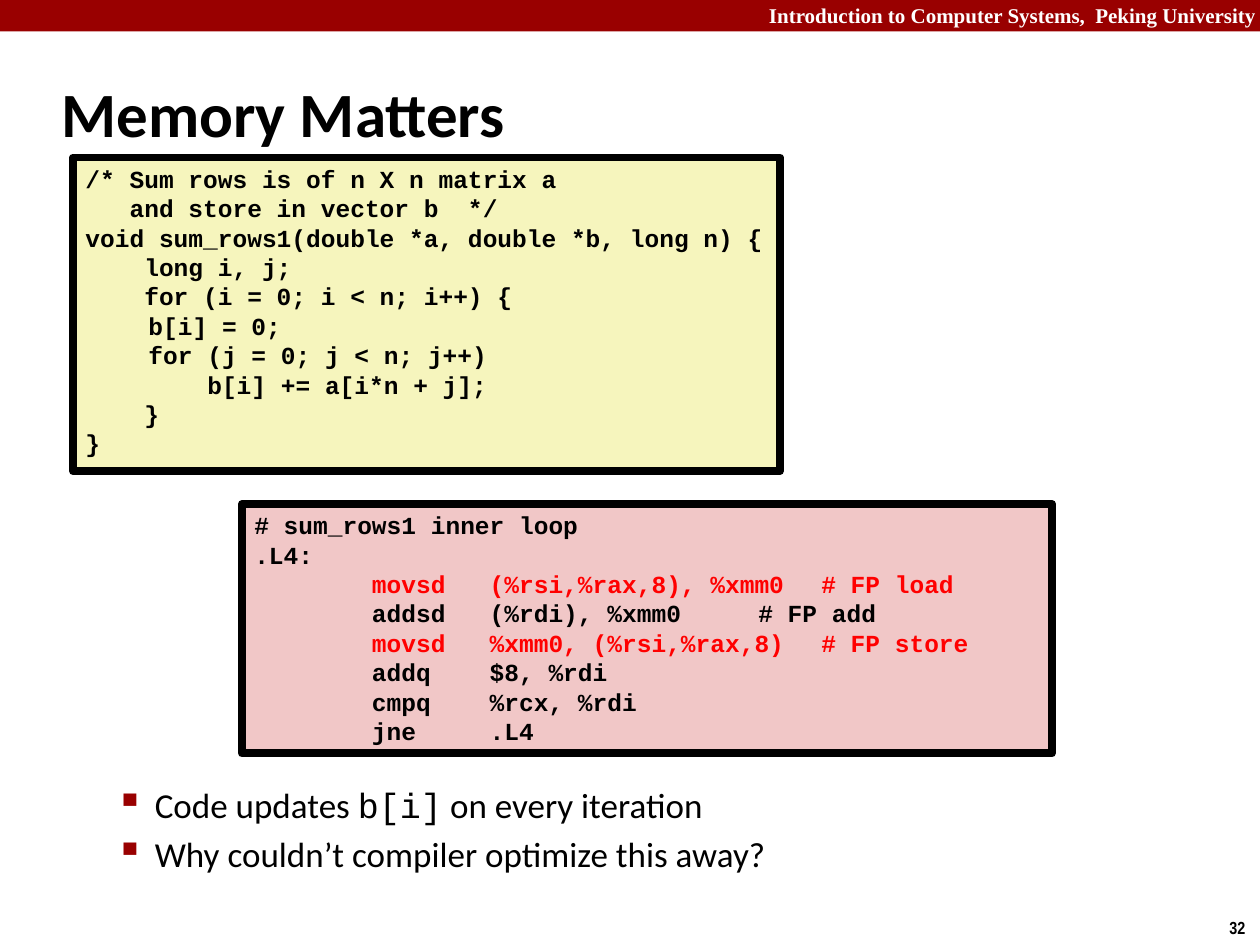
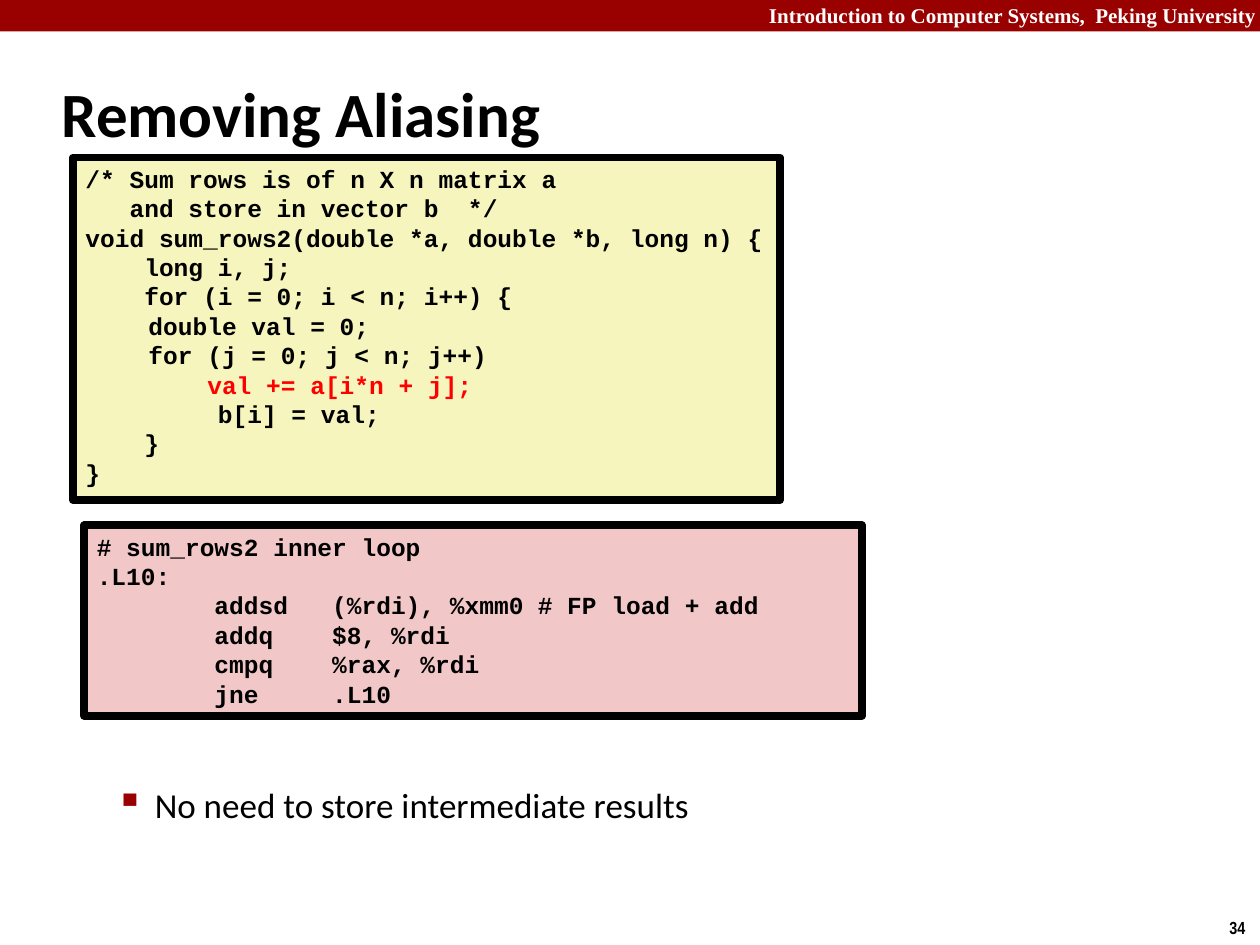
"""Builds two lecture slides on memory aliasing, with C code above its assembly."""
from lxml import etree
from pptx import Presentation
from pptx.dml.color import RGBColor
from pptx.enum.shapes import MSO_SHAPE
from pptx.enum.text import MSO_ANCHOR, PP_ALIGN
from pptx.oxml.ns import qn
from pptx.util import Inches, Pt

RECTANGLE = MSO_SHAPE.RECTANGLE
TOP, MIDDLE = MSO_ANCHOR.TOP, MSO_ANCHOR.MIDDLE
LEFT, RIGHT = PP_ALIGN.LEFT, PP_ALIGN.RIGHT

CRIMSON = RGBColor(0x99, 0x00, 0x00)
WHITE = RGBColor(0xFF, 0xFF, 0xFF)
BLACK = RGBColor(0x00, 0x00, 0x00)
RED = RGBColor(0xFF, 0x00, 0x00)
CREAM = RGBColor(0xF6, 0xF5, 0xBD)
PINK = RGBColor(0xF1, 0xC7, 0xC7)

BODY_FONT, CODE_FONT = "Calibri", "Courier New"

C_SUM_ROWS1 = """/* Sum rows is of n X n matrix a
   and store in vector b  */
void sum_rows1(double *a, double *b, long n) {
    long i, j;
    for (i = 0; i < n; i++) {
\tb[i] = 0;
\tfor (j = 0; j < n; j++)
\t    b[i] += a[i*n + j];
    }
}"""
ASM_SUM_ROWS1 = """# sum_rows1 inner loop
.L4:
        movsd   (%rsi,%rax,8), %xmm0\t# FP load
        addsd   (%rdi), %xmm0\t\t# FP add
        movsd   %xmm0, (%rsi,%rax,8)\t# FP store
        addq    $8, %rdi
        cmpq    %rcx, %rdi
        jne     .L4"""
C_SUM_ROWS2 = """/* Sum rows is of n X n matrix a
   and store in vector b  */
void sum_rows2(double *a, double *b, long n) {
    long i, j;
    for (i = 0; i < n; i++) {
\tdouble val = 0;
\tfor (j = 0; j < n; j++)
\t    val += a[i*n + j];
         b[i] = val;
    }
}"""
ASM_SUM_ROWS2 = """# sum_rows2 inner loop
.L10:
        addsd   (%rdi), %xmm0\t# FP load + add
        addq    $8, %rdi
        cmpq    %rax, %rdi
        jne     .L10"""

LESSONS = [
    {"title": "Memory Matters", "number": "32",
     "listings": [(ASM_SUM_ROWS1, PINK, (19.2, 40, 64.3, 19.8), "movsd"),
                  (C_SUM_ROWS1, CREAM, (5.8, 12.5, 56.1, 24.9), None)],
     "points": ["Code updates `b[i]` on every iteration",
                "Why couldn’t compiler optimize this away?"]},
    {"title": "Removing Aliasing", "number": "34",
     "listings": [(ASM_SUM_ROWS2, PINK, (6.7, 41.7, 61.7, 15.1), None),
                  (C_SUM_ROWS2, CREAM, (5.8, 12.5, 56.1, 27.2), "val +=")],
     "points": ["No need to store intermediate results"]},
]

deck = Presentation()
deck.slide_width, deck.slide_height = Inches(10), Inches(7.5)
COLUMN, ROW = deck.slide_width / 100, deck.slide_height / 75


def on_grid(left, top, width, height):
    """Turns columns and rows into slide lengths."""
    return int(left * COLUMN), int(top * ROW), int(width * COLUMN), int(height * ROW)


def write(paragraph, text, font, size, color, bold=True, align=LEFT):
    """Fills a paragraph; text between backticks is set as code."""
    paragraph.alignment = align
    paragraph.font.name = font
    paragraph.font.size = Pt(size)
    paragraph.font.bold = bold
    paragraph.font.color.rgb = color
    for index, piece in enumerate(text.split("`")):
        run = paragraph.add_run()
        run.text = piece
        if index % 2:
            run.font.name = CODE_FONT


for lesson in LESSONS:
    slide = deck.slides.add_slide(deck.slide_layouts[6])

    band = slide.shapes.add_shape(RECTANGLE, *on_grid(0, 0, 100, 2.5))
    band.shadow.inherit = False
    band.fill.solid()
    band.fill.fore_color.rgb = CRIMSON
    band.line.fill.background()

    course = slide.shapes.add_textbox(*on_grid(60, -0.3, 40.7, 3)).text_frame
    course.word_wrap = True
    write(course.paragraphs[0], "Introduction to Computer Systems,  Peking University ",
          "Times New Roman", 12, WHITE, align=RIGHT)

    number = slide.shapes.add_textbox(*on_grid(96.6, 72.3, 3.4, 2.7)).text_frame
    number.word_wrap = False
    write(number.paragraphs[0], lesson["number"], "Arial Narrow", 10, BLACK)

    title = slide.shapes.add_textbox(*on_grid(3.9, 4.8, 83, 8.3)).text_frame
    title.word_wrap = True
    title.vertical_anchor = MIDDLE
    write(title.paragraphs[0], lesson["title"], BODY_FONT, 36, BLACK)

    points = slide.shapes.add_textbox(*on_grid(3.2, 61.7, 90.9, 8.8)).text_frame
    points.word_wrap = True
    for index, point in enumerate(lesson["points"]):
        paragraph = points.add_paragraph() if index else points.paragraphs[0]
        if index:
            paragraph.space_before = Pt(4)
        properties = paragraph._p.get_or_add_pPr()
        properties.set("marL", str(Inches(0.81)))
        properties.set("indent", str(-Inches(0.31)))
        bullet_color = etree.SubElement(properties, qn("a:buClr"))
        etree.SubElement(bullet_color, qn("a:srgbClr"), val=str(CRIMSON))
        etree.SubElement(properties, qn("a:buSzPct"), val="110000")
        etree.SubElement(properties, qn("a:buChar"), char="▪")
        write(paragraph, point, BODY_FONT, 20, BLACK, bold=False)

    for code, background, place, highlight in lesson["listings"]:
        listing = slide.shapes.add_shape(RECTANGLE, *on_grid(*place))
        listing.shadow.inherit = False
        listing.fill.solid()
        listing.fill.fore_color.rgb = background
        listing.line.color.rgb = BLACK
        listing.line.width = Pt(4.5)
        frame = listing.text_frame
        frame.word_wrap = False
        frame.vertical_anchor = TOP
        for index, line in enumerate(code.split("\n")):
            paragraph = frame.add_paragraph() if index else frame.paragraphs[0]
            color = RED if highlight and highlight in line else BLACK
            write(paragraph, line, CODE_FONT, 14, color)

deck.save("out.pptx")
